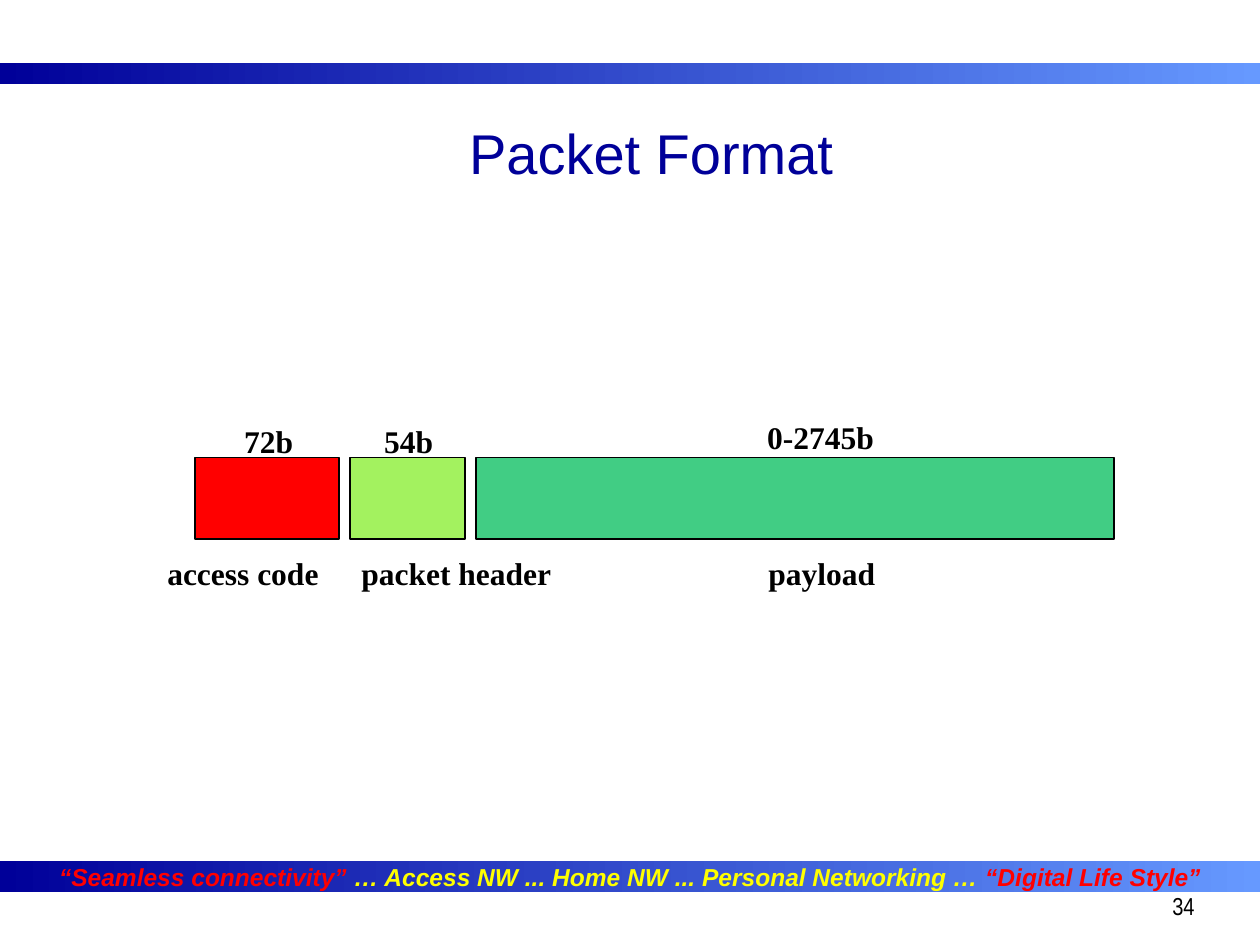
from dataclasses import dataclass
from typing import Optional

from pptx import Presentation
from pptx.dml.color import RGBColor as Rgb
from pptx.enum.shapes import MSO_SHAPE as Shape
from pptx.enum.text import MSO_ANCHOR as Anchor, MSO_AUTO_SIZE as Fit, PP_ALIGN as Align
from pptx.util import Inches, Pt


@dataclass(frozen=True)
class Theme:
    navy: str = "000099"
    sky: str = "6699FF"
    red: str = "FF0000"
    gold: str = "FFFF00"
    lime: str = "A3F25F"
    green: str = "41CD84"
    black: str = "000000"
    sans: str = "Arial"
    slim: str = "Arial Narrow"
    serif: str = "Times New Roman"
    head: int = 32
    label: int = 18
    small: int = 14


@dataclass(frozen=True)
class Box:
    col: float
    row: float
    cols: float
    rows: float


@dataclass(frozen=True)
class Label:
    text: str
    box: Box
    wrap: bool = False


@dataclass(frozen=True)
class Field:
    cols: float
    color: str
    size: Label
    name: Label


THEME = Theme()
COLS, ROWS = 100, 75
CELL = Inches(0.1)
LEFT, TOP, TALL, GAP = 15.5, 36.3, 6.5, 0.9
SIZE_ROW, NAME_ROW, TEXT_ROWS = 33, 43.5, 4

FIELDS = [
    Field(11.4, THEME.red,
          Label("72b", Box(18.4, SIZE_ROW, 10.3, TEXT_ROWS), True),
          Label("access code", Box(12.3, NAME_ROW, 14, TEXT_ROWS))),
    Field(9.1, THEME.lime,
          Label("54b", Box(29.5, SIZE_ROW, 14.3, TEXT_ROWS), True),
          Label("packet header", Box(27.7, NAME_ROW, 17.1, TEXT_ROWS))),
    Field(50.6, THEME.green,
          Label("0-2745b", Box(59.9, SIZE_ROW - 0.3, 10.5, TEXT_ROWS)),
          Label("payload", Box(60, NAME_ROW, 10.5, TEXT_ROWS))),
]
MOTTO = [
    ("“Seamless connectivity”", THEME.red),
    (" … Access NW ... Home NW ... Personal Networking … ", THEME.gold),
    ("“Digital Life Style”", THEME.red),
]


def place(box: Box) -> list[int]:
    return [round(n * CELL) for n in (box.col, box.row, box.cols, box.rows)]


def style(par, face: str, size: int, color: Optional[str] = None,
          bold: bool = False, italic: bool = False) -> None:
    font = par.font
    font.name, font.size = face, Pt(size)
    font.bold, font.italic = bold, italic
    if color:
        font.color.rgb = Rgb.from_string(color)


def draw_rect(slide, box: Box):
    rect = slide.shapes.add_shape(Shape.RECTANGLE, *place(box))
    rect.shadow.inherit = False
    return rect


def draw_band(slide, box: Box):
    band = draw_rect(slide, box)
    band.line.fill.background()
    band.fill.gradient()
    band.fill.gradient_angle = 180
    for stop, color in zip(band.fill.gradient_stops, (THEME.sky, THEME.navy)):
        stop.color.rgb = Rgb.from_string(color)
    return band


def draw_motto(band) -> None:
    frame = band.text_frame
    frame.word_wrap = False
    frame.vertical_anchor = Anchor.MIDDLE
    par = frame.paragraphs[0]
    par.alignment = Align.CENTER
    style(par, THEME.sans, THEME.small, bold=True, italic=True)
    for text, color in MOTTO:
        run = par.add_run()
        run.text = text
        run.font.color.rgb = Rgb.from_string(color)


def draw_text(slide, label: Label):
    frame = slide.shapes.add_textbox(*place(label.box)).text_frame
    frame.word_wrap = label.wrap
    frame.text = label.text
    return frame


def draw_label(slide, label: Label) -> None:
    frame = draw_text(slide, label)
    frame.auto_size = Fit.SHAPE_TO_FIT_TEXT
    style(frame.paragraphs[0], THEME.serif, THEME.label, THEME.black, bold=True)


def draw_fields(slide) -> None:
    col = LEFT
    for field in FIELDS:
        rect = draw_rect(slide, Box(col, TOP, field.cols, TALL))
        rect.fill.solid()
        rect.fill.fore_color.rgb = Rgb.from_string(field.color)
        rect.line.color.rgb = Rgb.from_string(THEME.black)
        rect.line.width = Pt(1)
        col += field.cols + GAP
    for field in FIELDS:
        draw_label(slide, field.size)
        draw_label(slide, field.name)


def draw_title(slide, text: str, box: Box) -> None:
    title = slide.shapes.title
    title.left, title.top, title.width, title.height = place(box)
    frame = title.text_frame
    frame.text = text
    frame.word_wrap = True
    frame.auto_size = Fit.NONE
    frame.vertical_anchor = Anchor.MIDDLE
    par = frame.paragraphs[0]
    par.alignment = Align.CENTER
    style(par, THEME.sans, THEME.head, THEME.navy)


def draw_page(slide, label: Label) -> None:
    par = draw_text(slide, label).paragraphs[0]
    par.alignment = Align.RIGHT
    par.line_spacing = 1.1
    style(par, THEME.slim, THEME.small, THEME.black)


def main() -> None:
    deck = Presentation()
    deck.slide_width, deck.slide_height = COLS * CELL, ROWS * CELL
    slide = deck.slides.add_slide(deck.slide_layouts[5])
    draw_band(slide, Box(0, 5, COLS, 1.7))
    draw_motto(draw_band(slide, Box(0, 68.3, COLS, 2.5)))
    draw_fields(slide)
    draw_title(slide, "Packet Format", Box(6.7, 9.2, 90, 5.8))
    draw_page(slide, Label("34", Box(75, 70, 20.8, 5), True))
    deck.save("out.pptx")


if __name__ == "__main__":
    main()
